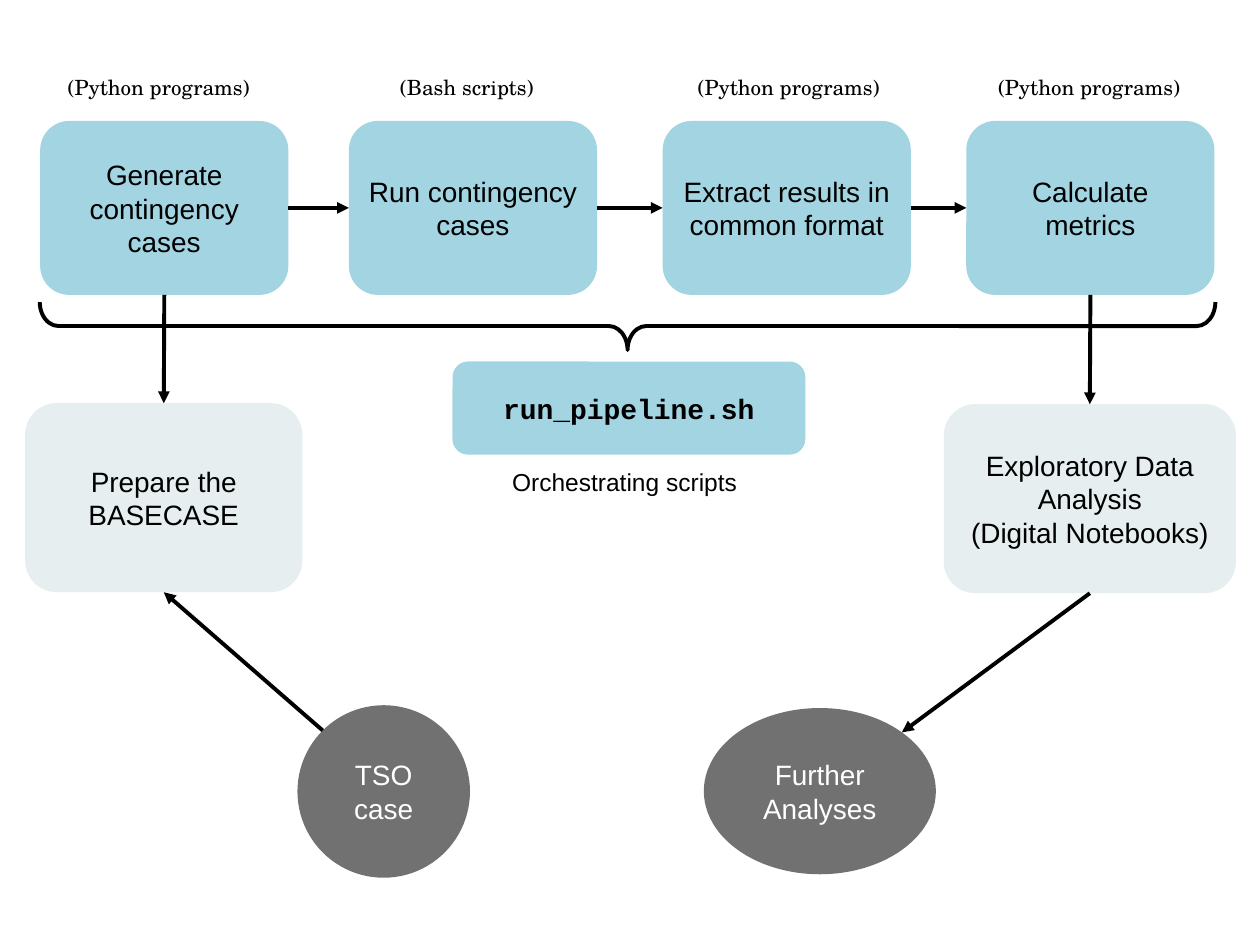
import pptx
import pptx.util
import pptx.dml.color
import pptx.enum.shapes
import pptx.enum.text
import pptx.oxml
import pptx.oxml.ns

Pt = pptx.util.Pt
Kind = pptx.enum.shapes.MSO_SHAPE

THEME = {
    "step": "A2D4E2", "side": "E6EEF0", "end": "717171",
    "ink": "000000", "pale": "FFFFFF",
    "sans": "Arial", "mono": "Courier New", "serif": "TeX Gyre Schola",
    "body": 16, "note": 14, "tag": 12, "line": 2.25, "inset": 6,
}

# key, left edge, text, tag, tag centre
STEPS = [
    ("make", 23, "Generate\ncontingency cases", "(Python programs)", 90.7),
    ("run", 199.4, "Run contingency cases", "(Bash scripts)", 266.8),
    ("pull", 378.7, "Extract results in common format", "(Python programs)", 450.7),
    ("rate", 552.2, "Calculate metrics", "(Python programs)", 622.4),
]
STEP_TOP, STEP_W, STEP_H = 69.1, 141.8, 99.4
TAG_TOP, TAG_W, TAG_H = 42.5, 122.4, 14.4

# key, preset, fill, text, (left, top, width, height)
NODES = [
    ("base", Kind.ROUNDED_RECTANGLE, "side", "Prepare the\nBASECASE",
     (14.4, 230.4, 158.4, 108)),
    ("data", Kind.ROUNDED_RECTANGLE, "side",
     "Exploratory Data Analysis\n(Digital Notebooks)", (539.3, 231, 167, 108)),
    ("grid", Kind.OVAL, "end", "TSO\ncase", (170, 403, 98.6, 98.6)),
    ("more", Kind.OVAL, "end", "Further\nAnalyses", (402.2, 404.6, 132.6, 95)),
]
PIPE = ("run_pipeline.sh", (258.6, 206.6, 201.6, 53.2))
NOTE = ("Orchestrating scripts", (267, 266.4, 180, 17.3))
BRACE = (22.7, 172.6, 671.8, 27.4)

# from, side, to, side
ARROWS = [
    ("make", "right", "run", "left"),
    ("run", "right", "pull", "left"),
    ("pull", "right", "rate", "left"),
    ("make", "bottom", "base", "top"),
    ("rate", "bottom", "data", "top"),
    ("grid", "nw", "base", "bottom"),
    ("data", "bottom", "more", "ne"),
]
DIAG = 0.5 ** 0.5
# direction from the centre, in half widths and half heights
SIDES = {"top": (0, -1), "left": (-1, 0), "bottom": (0, 1), "right": (1, 0),
         "nw": (-DIAG, -DIAG), "ne": (DIAG, -DIAG)}


def color(name):
    """Return a theme colour."""
    return pptx.dml.color.RGBColor.from_string(THEME[name])


def write(shape, text, size, font="sans", ink="ink", inset=0, bold=False):
    """Put centred text in a shape."""
    frame = shape.text_frame
    frame.word_wrap = True
    frame.vertical_anchor = pptx.enum.text.MSO_ANCHOR.MIDDLE
    frame.margin_left = frame.margin_right = Pt(inset)
    frame.margin_top = frame.margin_bottom = Pt(inset / 2)
    frame.text = text
    for para in frame.paragraphs:
        para.alignment = pptx.enum.text.PP_ALIGN.CENTER
        for run in para.runs:
            run.font.size = Pt(THEME[size])
            run.font.name = THEME[font]
            run.font.bold = bold
            run.font.color.rgb = color(ink)


def node(slide, kind, fill, text, box, **style):
    """Add a filled shape with text."""
    shape = slide.shapes.add_shape(kind, *map(Pt, box))
    shape.shadow.inherit = False
    shape.fill.solid()
    shape.fill.fore_color.rgb = color(fill)
    shape.line.fill.background()
    ink = "pale" if fill == "end" else "ink"
    write(shape, text, "body", ink=ink, inset=THEME["inset"], **style)
    return shape


def label(slide, text, box, size, font):
    """Add a text box."""
    write(slide.shapes.add_textbox(*map(Pt, box)), text, size, font)


def stroke(line):
    """Give a line the theme ink and width."""
    line.color.rgb = color("ink")
    line.width = Pt(THEME["line"])


def brace(slide, left, top, width, height):
    """Add a brace that lies flat and points down."""
    mid_x, mid_y = left + width / 2, top + height / 2
    box = (mid_x - height / 2, mid_y - width / 2, height, width)
    shape = slide.shapes.add_shape(Kind.RIGHT_BRACE, *map(Pt, box))
    shape.rotation = 90
    shape.adjustments[0] = 0.39
    shape.adjustments[1] = 0.5
    shape.shadow.inherit = False
    shape.fill.background()
    stroke(shape.line)


def spot(shape, side):
    """Find the point on one side of a shape."""
    dx, dy = SIDES[side]
    return (int(shape.left + shape.width * (1 + dx) / 2),
            int(shape.top + shape.height * (1 + dy) / 2))


def arrow(slide, start, out, end, into):
    """Join two shapes with an arrow."""
    link = slide.shapes.add_connector(
        pptx.enum.shapes.MSO_CONNECTOR.STRAIGHT, *spot(start, out), *spot(end, into))
    stroke(link.line)
    qn = pptx.oxml.ns.qn
    make = pptx.oxml.parse_xml
    space = pptx.oxml.ns.nsdecls("a")
    props = link._element.spPr
    props.find(qn("a:ln")).append(make(f'<a:tailEnd {space} type="triangle"/>'))
    props.append(make(f"<a:effectLst {space}/>"))


def main():
    """Build the slide."""
    deck = pptx.Presentation()
    deck.slide_width, deck.slide_height = Pt(720), Pt(540)
    slide = deck.slides.add_slide(deck.slide_layouts[6])
    nodes = {}
    for key, left, text, tag, mid in STEPS:
        box = (left, STEP_TOP, STEP_W, STEP_H)
        nodes[key] = node(slide, Kind.ROUNDED_RECTANGLE, "step", text, box)
        label(slide, tag, (mid - TAG_W / 2, TAG_TOP, TAG_W, TAG_H), "tag", "serif")
    for key, kind, fill, text, box in NODES:
        nodes[key] = node(slide, kind, fill, text, box)
    node(slide, Kind.ROUNDED_RECTANGLE, "step", *PIPE, font="mono", bold=True)
    label(slide, *NOTE, "note", "sans")
    brace(slide, *BRACE)
    for start, out, end, into in ARROWS:
        arrow(slide, nodes[start], out, nodes[end], into)
    deck.save("out.pptx")


main()
